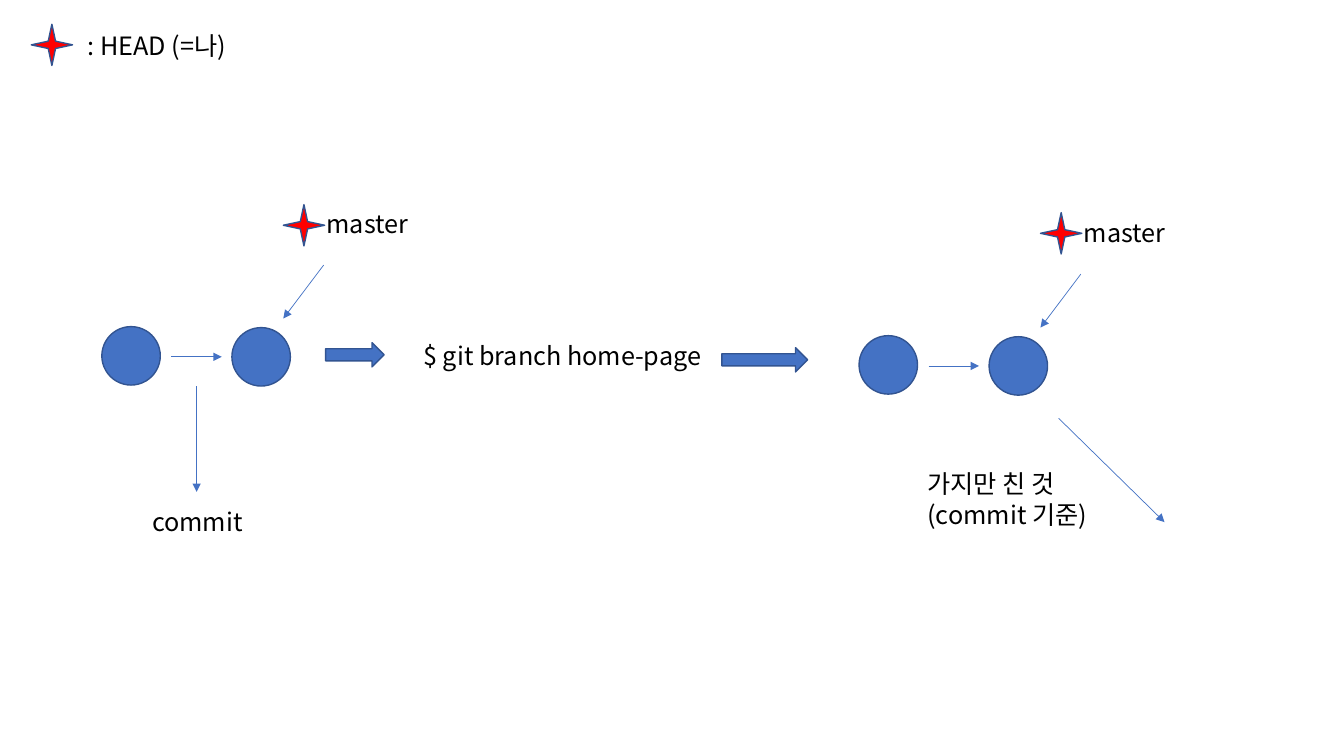
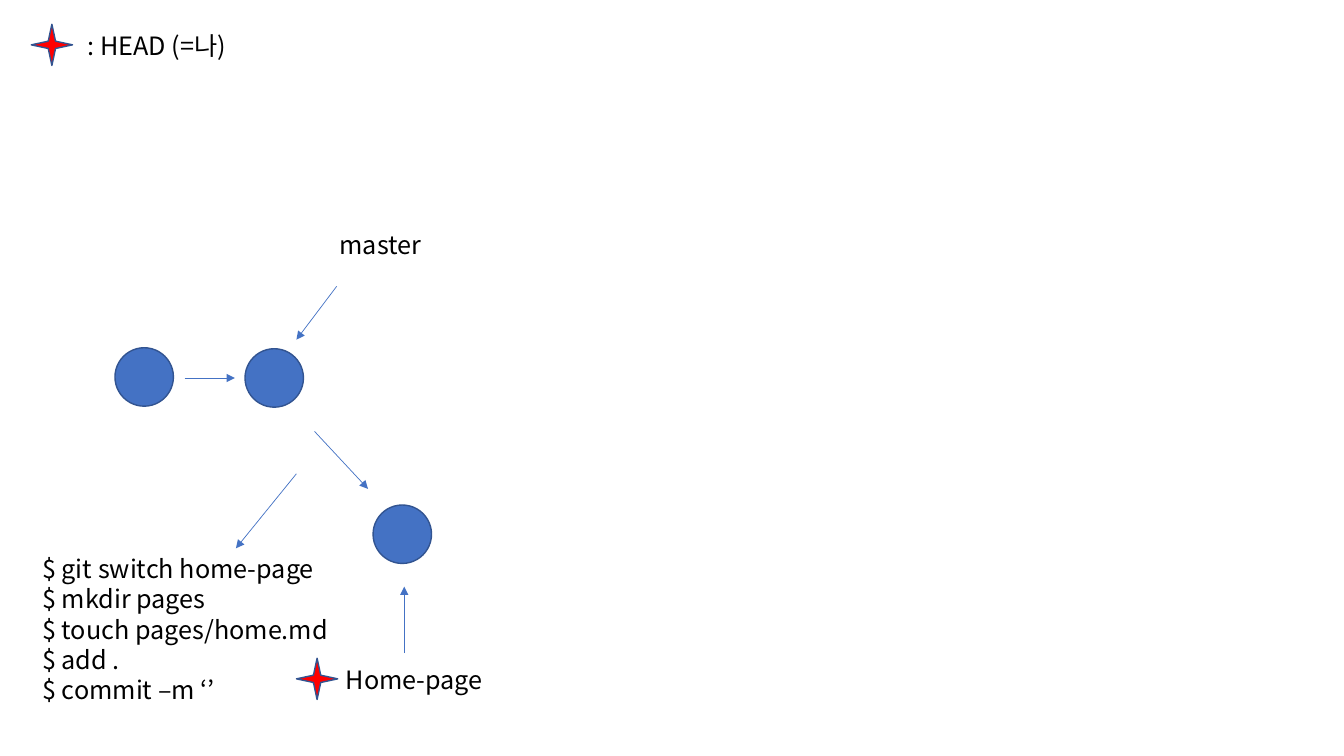
"""Builds two slides that explain git branches with commit diagrams."""
from lxml.etree import SubElement
from pptx import Presentation
from pptx.dml.color import RGBColor
from pptx.enum.shapes import MSO_CONNECTOR as CONNECTOR, MSO_SHAPE as SHAPE
from pptx.enum.text import MSO_AUTO_SIZE as AUTO_SIZE
from pptx.oxml.ns import qn
from pptx.util import Inches, Pt

BLUE = RGBColor(0x44, 0x72, 0xC4)
DARK_BLUE = RGBColor(0x32, 0x54, 0x91)
RED = RGBColor(0xFF, 0x00, 0x00)
BLACK = RGBColor(0x00, 0x00, 0x00)
FONT = "Noto Sans CJK KR"
COMMIT = 0.58
STAR = 0.41

SLIDES = [
    {
        "histories": [(1.01, 3.24), (8.52, 3.33)],
        "commits": [],
        "stars": [(2.81, 2.03), (10.32, 2.11)],
        "steps": [(3.23, 3.4, 0.58), (7.16, 3.45, 0.85)],
        "arrows": [(1.95, 3.83, 1.95, 4.88), (10.5, 4.15, 11.55, 5.18)],
        "texts": [
            (1.41, 4.97, 1.79, 0.4, ["commit"]),
            (4.1, 3.33, 3.78, 0.4, ["$ git branch home-page"]),
            (9.1, 4.6, 2.34, 0.71, ["가지만 친 것", "(commit 기준)"]),
        ],
    },
    {
        "histories": [(1.14, 3.45)],
        "commits": [(3.7, 5.01)],
        "stars": [(2.94, 6.53)],
        "steps": [],
        "arrows": [
            (3.12, 4.28, 3.65, 4.85),
            (2.94, 4.7, 2.34, 5.44),
            (4.01, 6.48, 4.01, 5.82),
        ],
        "texts": [
            (0.32, 5.44, 3.34, 1.62, [
                "$ git switch home-page",
                "$ mkdir pages",
                "$ touch pages/home.md",
                "$ add .",
                "$ commit –m ‘’",
            ]),
            (3.33, 6.54, 2.18, 0.4, ["Home-page"]),
        ],
    },
]


def add_figure(s, kind, x, y, w, h, color):
    sp = s.shapes.add_shape(kind, Inches(x), Inches(y), Inches(w), Inches(h))
    sp.shadow.inherit = False
    sp.fill.solid()
    sp.fill.fore_color.rgb = color
    sp.line.color.rgb = DARK_BLUE
    sp.line.width = Pt(1)


prs = Presentation()
prs.slide_width, prs.slide_height = Inches(13.33), Inches(7.5)

for content in SLIDES:
    s = prs.slides.add_slide(prs.slide_layouts[6])
    commits = list(content["commits"])
    arrows = list(content["arrows"])
    texts = [(0.77, 0.25, 1.87, 0.4, [": HEAD (=나)"])] + content["texts"]

    for x, y in content["histories"]:
        commits += [(x, y), (x + 1.29, y + 0.01)]
        arrows += [
            (x + 0.69, y + 0.3, x + 1.19, y + 0.3),
            (x + 2.2, y - 0.61, x + 1.8, y - 0.08),
        ]
        texts.append((x + 2.13, y - 1.22, 1.39, 0.42, ["master"]))

    for x, y in commits:
        add_figure(s, SHAPE.OVAL, x, y, COMMIT, COMMIT, BLUE)
    for x, y, w in content["steps"]:
        add_figure(s, SHAPE.RIGHT_ARROW, x, y, w, 0.24, BLUE)

    for ends in arrows:
        line = s.shapes.add_connector(CONNECTOR.STRAIGHT, *map(Inches, ends))
        line.line.color.rgb = BLUE
        line.line.width = Pt(0.5)
        SubElement(line.line._get_or_add_ln(), qn("a:tailEnd"), type="triangle")
        SubElement(line._element.spPr, qn("a:effectLst"))

    for x, y, w, h, lines in texts:
        box = s.shapes.add_textbox(Inches(x), Inches(y), Inches(w), Inches(h))
        tf = box.text_frame
        tf.word_wrap = True
        tf.auto_size = AUTO_SIZE.SHAPE_TO_FIT_TEXT
        tf.text = "\n".join(lines)
        for p in tf.paragraphs:
            p.line_spacing = Pt(21.6)
            p.font.size = Pt(18)
            p.font.name = FONT
            p.font.color.rgb = BLACK
            SubElement(p._p.pPr.find(qn("a:defRPr")), qn("a:ea"), typeface=FONT)

    for x, y in [(0.31, 0.24)] + content["stars"]:
        add_figure(s, SHAPE.STAR_4_POINT, x, y, STAR, STAR, RED)

prs.save("out.pptx")
